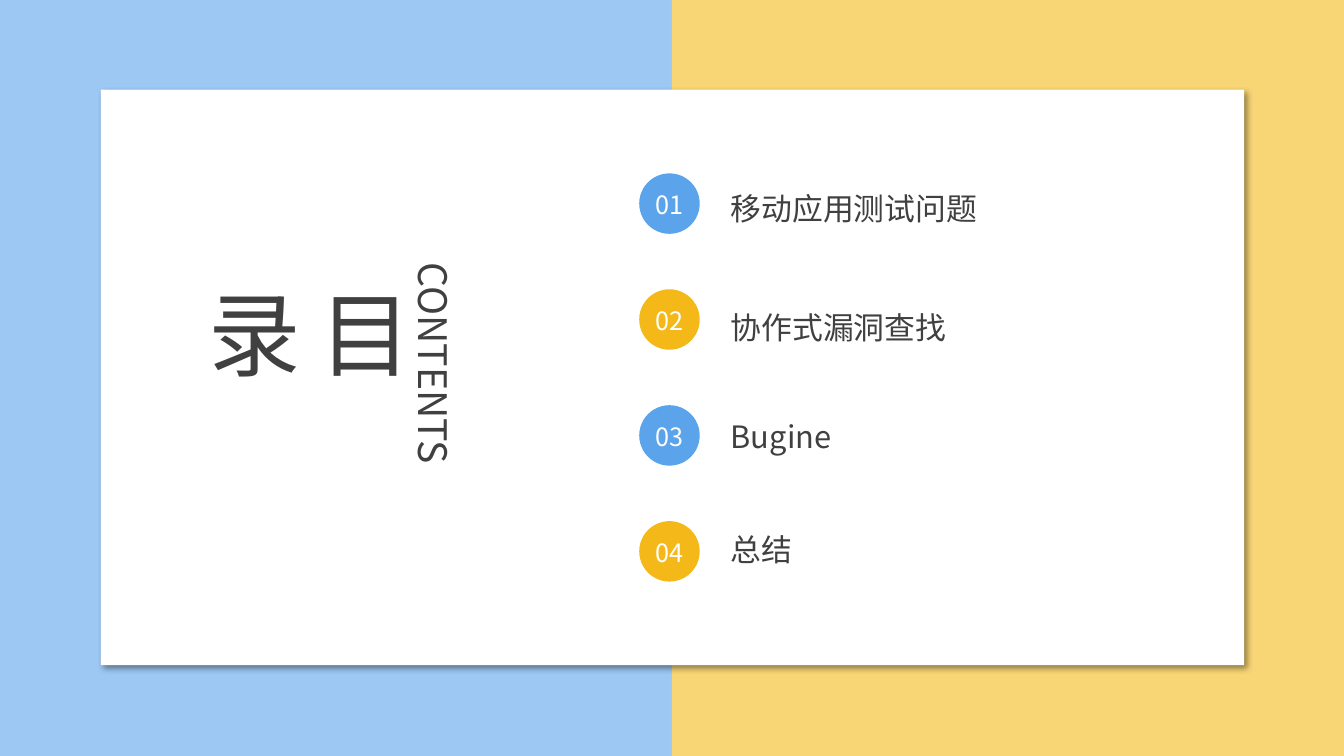
from lxml.etree import SubElement
from pptx import Presentation
from pptx.dml.color import RGBColor
from pptx.enum.shapes import MSO_SHAPE as Kind
from pptx.enum.text import MSO_AUTO_SIZE as Fit, PP_ALIGN as Align
from pptx.oxml import parse_xml
from pptx.oxml.ns import nsdecls, qn
from pptx.util import Inches, Pt

SKY = RGBColor(0x9D, 0xC8, 0xF3)
SAND = RGBColor(0xF8, 0xD5, 0x75)
BLUE = RGBColor(0x5B, 0xA3, 0xEB)
GOLD = RGBColor(0xF4, 0xB9, 0x19)
WHITE = RGBColor(0xFF, 0xFF, 0xFF)
GREY = RGBColor(0x40, 0x40, 0x40)
SHADE = (
    f'<a:effectLst {nsdecls("a")}>'
    '<a:outerShdw blurRad="50800" dist="38100" dir="2700000" algn="tl" rotWithShape="0">'
    '<a:srgbClr val="000000"><a:alpha val="40000"/></a:srgbClr>'
    '</a:outerShdw></a:effectLst>'
)


class Deck:
    """Holds the text style and the current slide."""

    face = "Noto Sans CJK JP"

    def __init__(self, slide):
        self.shapes = slide.shapes

    def form(self, kind, box, fill, shade=False):
        shape = self.shapes.add_shape(kind, *map(Inches, box))
        shape.fill.solid()
        shape.fill.fore_color.rgb = fill
        shape.line.fill.background()
        shape.shadow.inherit = False
        if shade:
            props = shape.fill._xPr
            props.replace(props.find(qn("a:effectLst")), parse_xml(SHADE))

    def text(self, box, words, size, color=GREY, align=Align.LEFT, turn=False):
        frame = self.shapes.add_textbox(*map(Inches, box)).text_frame
        frame.word_wrap = True
        frame.auto_size = Fit.SHAPE_TO_FIT_TEXT
        if turn:
            frame._txBody.bodyPr.set("vert", "eaVert")
        para = frame.paragraphs[0]
        para.alignment = align
        run = para.add_run()
        run.text = words
        for key, value in {"size": Pt(size), "name": self.face}.items():
            setattr(run.font, key, value)
        run.font.color.rgb = color
        SubElement(run.font._element, qn("a:ea"), typeface=self.face)


def main():
    show = Presentation()
    show.slide_width, show.slide_height = Inches(13.33), Inches(7.5)
    deck = Deck(show.slides.add_slide(show.slide_layouts[6]))

    half = 13.33 / 2
    for left, fill in ((0, SKY), (half, SAND)):
        deck.form(Kind.RECTANGLE, (left, 0, half, 7.5), fill)
    deck.form(Kind.RECTANGLE, (1, 0.89, 11.34, 5.71), WHITE, shade=True)

    deck.text((2.88, 2.76, 1.31, 1.99), "目录", 66, align=Align.JUSTIFY, turn=True)
    deck.text((3.92, 2.51, 0.67, 2.49), "CONTENTS", 28, align=Align.CENTER, turn=True)

    topics = (
        ("移动应用测试问题", 1.83, 2.85, 0.72),
        ("协作式漏洞查找", 3.01, 2.92, 0.47),
        ("Bugine", 4.1, 2.44, 0.9),
        ("总结", 5.22, 2.44, 0.47),
    )
    for i, (topic, top, width, height) in enumerate(topics):
        y = 1.72 + 1.15 * i
        deck.text((7.15, top, width, height), topic, 22)
        deck.form(Kind.OVAL, (6.34, y, 0.6, 0.6), (BLUE, GOLD)[i % 2])
        deck.text((6.28, y + 0.11, 0.72, 0.4), f"{i + 1:02}", 18, WHITE, Align.CENTER)

    show.save("out.pptx")


if __name__ == "__main__":
    main()
